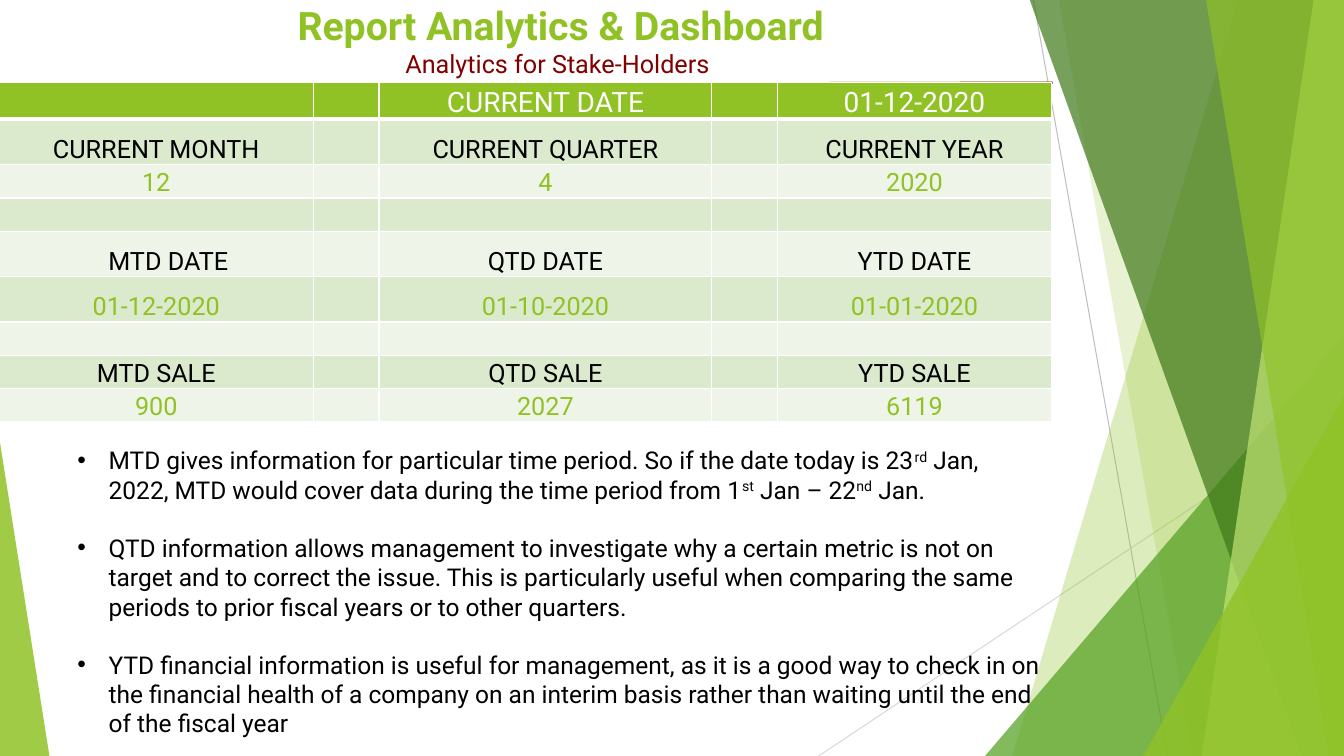
from lxml.etree import SubElement
from pptx import Presentation
from pptx.dml.color import RGBColor
from pptx.enum.shapes import MSO_CONNECTOR, MSO_SHAPE
from pptx.enum.text import MSO_ANCHOR, PP_ALIGN
from pptx.oxml.ns import qn
from pptx.util import Inches, Pt

COLORS = {
    "lime": "90C226", "green": "54A021", "forest": "3F7819", "pale": "C0E474",
    "maroon": "800000", "black": "000000", "white": "FFFFFF",
    "band": "DBE9CD", "light": "EEF4E8", "gray": "BFBFBF", "silver": "D9D9D9",
}


class Deck:
    font = "Roboto"

    def __init__(self, show):
        self.slide = show.slides.add_slide(show.slide_layouts[6])
        self.shapes = self.slide.shapes

    def color(self, name):
        return RGBColor.from_string(COLORS[name])

    def paint(self, shape, name, alpha):
        shape.shadow.inherit = False
        shape.line.fill.background()
        shape.fill.solid()
        shape.fill.fore_color.rgb = self.color(name)
        tint = shape._element.spPr.find(qn("a:solidFill"))[0]
        SubElement(tint, qn("a:alpha"), val=str(alpha * 1000))

    def line(self, start, end, name, width):
        ends = [Inches(n) for n in (*start, *end)]
        line = self.shapes.add_connector(MSO_CONNECTOR.STRAIGHT, *ends)
        line.line.color.rgb = self.color(name)
        line.line.width = Pt(width)
        SubElement(line._element.spPr, qn("a:effectLst"))

    def shard(self, points, name, alpha):
        first, *rest = [(Inches(x), Inches(y)) for x, y in points]
        form = self.shapes.build_freeform(*first)
        form.add_line_segments(rest, close=True)
        self.paint(form.convert_to_shape(), name, alpha)

    def wedge(self, box, tip, name, alpha):
        sides = [Inches(n) for n in box]
        shape = self.shapes.add_shape(MSO_SHAPE.ISOSCELES_TRIANGLE, *sides)
        shape.adjustments[0] = tip
        self.paint(shape, name, alpha)

    def run(self, para, text, size, name, bold=False, base=0):
        run = para.add_run()
        run.text = text
        font = run.font
        font.name, font.size, font.bold = self.font, Pt(size), bold
        font.color.rgb = self.color(name)
        if base:
            font._element.set("baseline", str(base * 1000))

    def frame(self, box, anchor):
        frame = self.shapes.add_textbox(*[Inches(n) for n in box]).text_frame
        frame.word_wrap = True
        frame.vertical_anchor = anchor
        return frame

    def title(self, box, head, sub):
        para = self.frame(box, MSO_ANCHOR.MIDDLE).paragraphs[0]
        para.alignment = PP_ALIGN.CENTER
        self.run(para, head, 28, "lime", bold=True)
        para.add_line_break()
        self.run(para, sub, 18, "maroon")

    def bullets(self, box, items, size, gap):
        frame = self.frame(box, MSO_ANCHOR.TOP)
        for i, item in enumerate(items):
            para = frame.add_paragraph() if i else frame.paragraphs[0]
            para.space_after = Pt(gap if i < len(items) - 1 else 0)
            props = para._p.get_or_add_pPr()
            props.set("marL", str(Inches(0.31)))
            props.set("indent", str(-Inches(0.31)))
            SubElement(props, qn("a:buFont"), typeface="Arial")
            SubElement(props, qn("a:buChar"), char="•")
            for text, base in item:
                self.run(para, text, size, "black", base=base)

    def border(self, cell, base):
        props = cell._tc.get_or_add_tcPr()
        for side, width in zip("LRTB", (1, 1, 1, base)):
            edge = SubElement(props, qn("a:ln" + side), w=str(Pt(width)))
            fill = SubElement(edge, qn("a:solidFill"))
            SubElement(fill, qn("a:srgbClr"), val=COLORS["white"])

    def cell(self, cell, text, size, name, fill, base):
        self.border(cell, base)
        cell.fill.solid()
        cell.fill.fore_color.rgb = self.color(fill)
        cell.margin_left = cell.margin_right = cell.margin_top = Inches(0.03)
        cell.margin_bottom = 0
        cell.vertical_anchor = MSO_ANCHOR.BOTTOM
        para = cell.text_frame.paragraphs[0]
        para.alignment = PP_ALIGN.CENTER
        if text:
            self.run(para, text, size, name)
        else:
            SubElement(para._p, qn("a:endParaRPr"), sz="1200")

    def table(self, box, widths, rows):
        sides = [Inches(n) for n in box]
        grid = self.shapes.add_table(len(rows), len(widths), *sides).table
        grid.first_row = grid.horz_banding = False
        for col, width in zip(grid.columns, widths):
            col.width = Inches(width)
        for r, (high, name, texts) in enumerate(rows):
            grid.rows[r].height = Inches(high)
            fill = ("band" if r % 2 else "light") if r else "lime"
            for c in range(len(widths)):
                text = "" if c % 2 else texts[c // 2]
                self.cell(grid.cell(r, c), text, 18 if r else 20, name,
                          fill, 1 if r else 3)
        return grid


def main():
    show = Presentation()
    show.slide_width, show.slide_height = Inches(13.33), Inches(7.5)
    deck = Deck(show)

    deck.line((10.25, 0), (11.58, 7.5), "gray", 0.75)
    deck.line((13.33, 4.03), (8.12, 7.5), "silver", 0.75)

    def shard(top, foot, name, alpha):
        deck.shard([(top, -0.01), (13.33, -0.01), (13.33, 7.5), (foot, 7.5)],
                   name, alpha)

    shard(12.28, 10.04, "lime", 30)
    shard(10.5, 11.83, "lime", 20)
    deck.wedge((9.77, 3.33, 3.56, 4.17), 1, "green", 72)
    shard(10.21, 12.91, "forest", 70)
    shard(13.03, 11.92, "pale", 70)
    shard(11.96, 13.18, "lime", 65)
    deck.wedge((11.34, 3.93, 1.99, 3.57), 1, "lime", 80)
    deck.wedge((0, 4.39, 0.49, 3.11), 0, "lime", 85)

    deck.line((-0.01, 0.84), (10.44, 0.82), "maroon", 1.5)
    deck.title((0.67, -0.06, 9.78, 0.92), "Report Analytics & Dashboard",
               "Analytics for Stake-Holders ")

    blank = ("", "", "")
    rows = [
        (0.36, "white", ("", "CURRENT DATE", "01-12-2020")),
        (0.45, "black", ("CURRENT MONTH", "CURRENT QUARTER", "CURRENT YEAR")),
        (0.33, "lime", ("12", "4", "2020")),
        (0.33, "black", blank),
        (0.45, "black", ("MTD DATE", "QTD DATE", "YTD DATE")),
        (0.45, "lime", ("01-12-2020", "01-10-2020", "01-01-2020")),
        (0.33, "black", blank),
        (0.33, "black", ("MTD SALE", "QTD SALE", "YTD SALE")),
        (0.33, "lime", ("900", "2027", "6119")),
    ]
    grid = deck.table((-0.01, 0.82, 10.44, 3.36),
                      (3.12, 0.65, 3.3, 0.65, 2.72), rows)
    grid.cell(4, 0).margin_left = Inches(0.27)

    deck.bullets((0.67, 4.37, 9.76, 3.13), [
        [("MTD gives information for particular time period. "
          "So if the date today is 23", 0), ("rd", 30),
         (" Jan, 2022, MTD would cover data during the time period from 1", 0),
         ("st", 30), (" Jan – 22", 0), ("nd", 30), (" Jan.", 0)],
        [("QTD information allows management to investigate why a certain "
          "metric is not on target and to correct the issue. This is "
          "particularly useful when comparing the same periods to prior "
          "fiscal years or to other quarters.", 0)],
        [("YTD financial information is useful for management, as it is a "
          "good way to check in on the financial health of a company on an "
          "interim basis rather than waiting until the end of the fiscal "
          "year", 0)],
    ], 17.5, 20.5)

    show.save("out.pptx")


if __name__ == "__main__":
    main()
